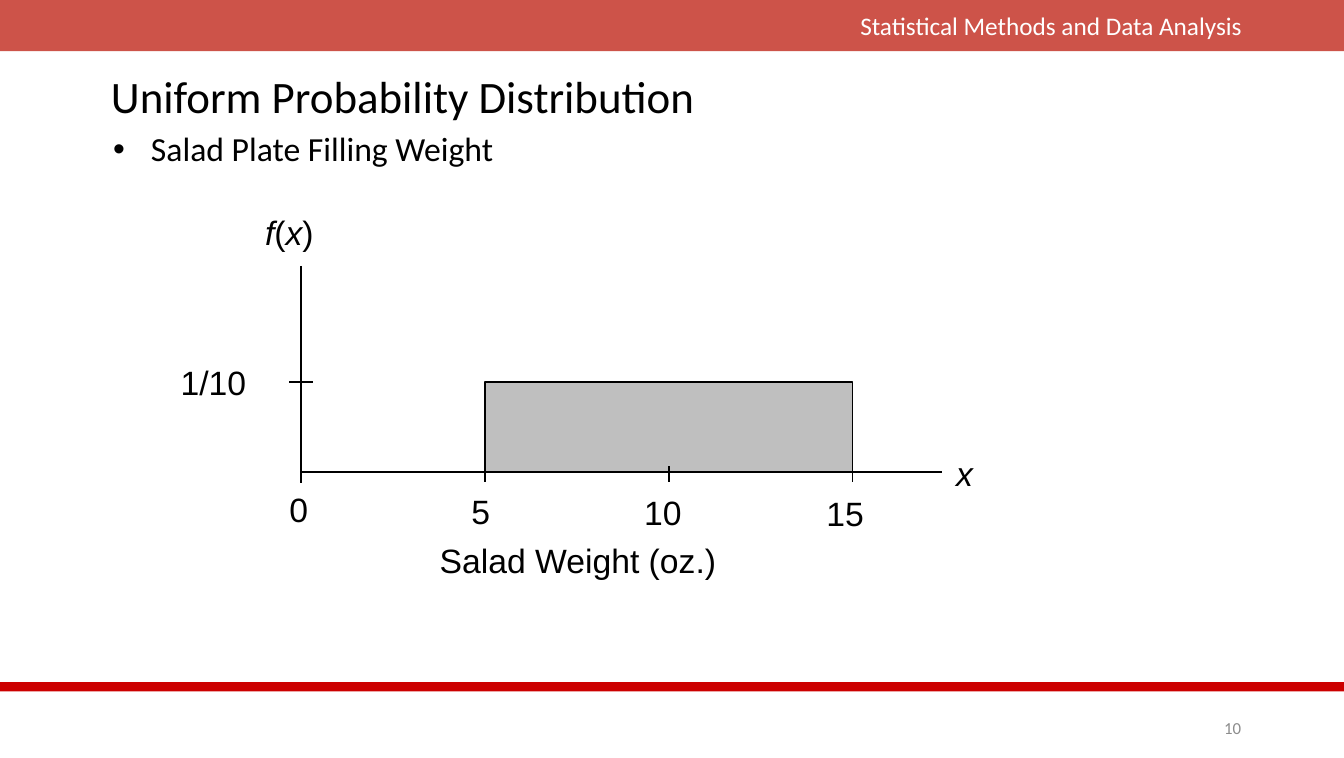
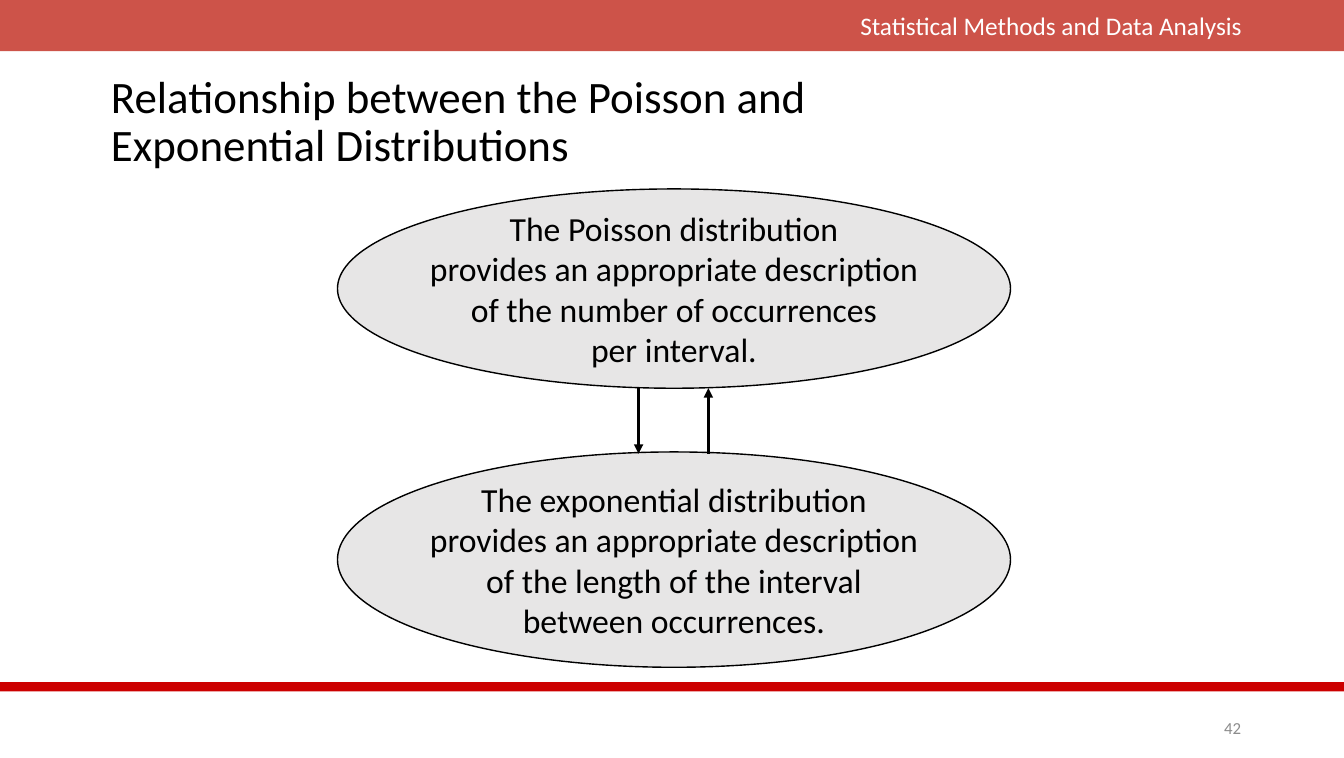
from lxml import etree
from pptx import Presentation
from pptx.dml.color import RGBColor
from pptx.enum import shapes, text
from pptx.oxml import ns
from pptx.util import Pt

PAGE_WIDTH, PAGE_HEIGHT = 957.6, 540
BLACK, WHITE, GREY = "000000", "FFFFFF", "8C8C8C"
HEADER_RED, RULE_RED = "BF2317", "CC0000"
BAR_GREY, OVAL_GREY = "BFBFBF", "E7E6E6"
LEFT, CENTER, RIGHT = text.PP_ALIGN.LEFT, text.PP_ALIGN.CENTER, text.PP_ALIGN.RIGHT
TOP, MIDDLE = text.MSO_ANCHOR.TOP, text.MSO_ANCHOR.MIDDLE
RECTANGLE, OVAL = shapes.MSO_SHAPE.RECTANGLE, shapes.MSO_SHAPE.OVAL


def color(hex_code):
    return RGBColor.from_string(hex_code)


def child(parent, tag, **attributes):
    return etree.SubElement(parent, ns.qn(tag), attributes)


def write(shape, content, size=24, font="Calibri", ink=BLACK, align=LEFT,
          anchor=TOP, wrap=True, spacing=None):
    """Fill a shape with lines of text; parts between asterisks are italic."""
    frame = shape.text_frame
    frame.word_wrap = wrap
    frame.vertical_anchor = anchor
    for index, line in enumerate(content.split("\n")):
        para = frame.add_paragraph() if index else frame.paragraphs[0]
        para.alignment = align
        if spacing:
            para.line_spacing = spacing
        for part, words in enumerate(line.split("*")):
            if words:
                span = para.add_run()
                span.text = words
                span.font.size = Pt(size)
                span.font.name = font
                span.font.color.rgb = color(ink)
                span.font.italic = part % 2 == 1
    return shape


class Slides:
    def __init__(self, course):
        self.deck = Presentation()
        self.deck.slide_width, self.deck.slide_height = Pt(PAGE_WIDTH), Pt(PAGE_HEIGHT)
        self.course = course
        self.page = None

    def start(self, title, number, title_box):
        """Add a slide with the shared header, rule, title and number."""
        self.page = self.deck.slides.add_slide(self.deck.slide_layouts[6])
        self.shape(RECTANGLE, 0, 0, PAGE_WIDTH, 36.5, HEADER_RED, opacity=78)
        self.text(self.course, 480, 3.6, 412, 29, size=18, ink=WHITE, align=RIGHT)
        self.shape(RECTANGLE, 0, 486, PAGE_WIDTH, 6.5, RULE_RED)
        self.text(title, *title_box, size=32, anchor=MIDDLE, spacing=0.9)
        self.text(str(number), 842.4, 507.6, 49, 21.6, size=12, ink=GREY,
                  align=RIGHT, anchor=MIDDLE)

    def shape(self, kind, left, top, width, height, fill, line=None, opacity=None):
        shape = self.page.shapes.add_shape(
            kind, Pt(left), Pt(top), Pt(width), Pt(height))
        shape.shadow.inherit = False
        shape.fill.solid()
        shape.fill.fore_color.rgb = color(fill)
        if opacity:
            tint = shape.fill._xPr.find(".//" + ns.qn("a:srgbClr"))
            child(tint, "a:alpha", val=str(opacity * 1000))
        if line:
            shape.line.color.rgb = color(line)
            shape.line.width = Pt(1)
        else:
            shape.line.fill.background()
        return shape

    def text(self, content, left, top, width, height, **style):
        box = self.page.shapes.add_textbox(Pt(left), Pt(top), Pt(width), Pt(height))
        return write(box, content, **style)

    def bullet(self, content, left, top, width, height):
        box = self.text(content, left, top, width, height, spacing=0.9)
        properties = box.text_frame.paragraphs[0]._p.get_or_add_pPr()
        properties.set("marL", str(Pt(27)))
        properties.set("indent", str(Pt(-27)))
        child(properties, "a:buFont", typeface="Arial")
        child(properties, "a:buChar", char="•")

    def label(self, content, left, top, width, align=CENTER):
        self.text(content, left, top, width, 36, font="Arial", align=align, wrap=False)

    def line(self, x1, y1, x2, y2, width=1, arrow=False):
        line = self.page.shapes.add_connector(
            shapes.MSO_CONNECTOR.STRAIGHT, Pt(x1), Pt(y1), Pt(x2), Pt(y2))
        line.line.color.rgb = color(BLACK)
        line.line.width = Pt(width)
        if arrow:
            child(line.line._get_or_add_ln(), "a:tailEnd", type="triangle")
        child(line._element.spPr, "a:effectLst")


def uniform_slide(slides):
    slides.start("Uniform Probability Distribution", 10, (72, 44, 814, 53))
    slides.bullet("Salad Plate Filling Weight", 73.5, 90.7, 814, 43)

    origin, base, density, step = 214.6, 336.3, 272.2, 131
    slides.shape(RECTANGLE, origin + step, density, 2 * step, base - density,
                 BAR_GREY, line=BLACK)
    slides.line(origin, 189.4, origin, 344)
    slides.line(origin, base, 671, base)
    slides.line(origin - 8.5, density, origin + 8.5, density)
    for index, weight in enumerate((0, 5, 10, 15)):
        if weight:
            tick = origin + index * step
            slides.line(tick, base - 4, tick, base + 7)
        slides.label(str(weight), 191.8 + index * 129.8, 344.9 + index, 42)

    slides.label("*f*(*x*)", 181.2, 147.6, 50)
    slides.label("*x*", 674.2, 319, 27, align=LEFT)
    slides.label("1/10", 121, 254.2, 62)
    slides.label("Salad Weight (oz.)", 305.3, 380.9, 213)


def relationship_slide(slides):
    slides.start("Relationship between the Poisson and Exponential Distributions",
                 42, (72, 55.5, 582.5, 64))
    statements = (
        (134.6, 142, "The Poisson distribution\nprovides an appropriate description\n"
                     "of the number of occurrences\nper interval."),
        (322, 153.4, "The exponential distribution\nprovides an appropriate description\n"
                     "of the length of the interval\nbetween occurrences."),
    )
    for top, height, statement in statements:
        oval = slides.shape(OVAL, 240.5, top, 479.5, height, OVAL_GREY, line=BLACK)
        write(oval, statement, align=CENTER, anchor=MIDDLE, wrap=False)
    upper, lower = 276.5, 323.3
    slides.line(455, upper, 455, lower, width=2.25, arrow=True)
    slides.line(504.7, lower, 504.7, upper, width=2.25, arrow=True)


def main():
    slides = Slides("Statistical Methods and Data Analysis")
    uniform_slide(slides)
    relationship_slide(slides)
    slides.deck.save("out.pptx")


if __name__ == "__main__":
    main()
